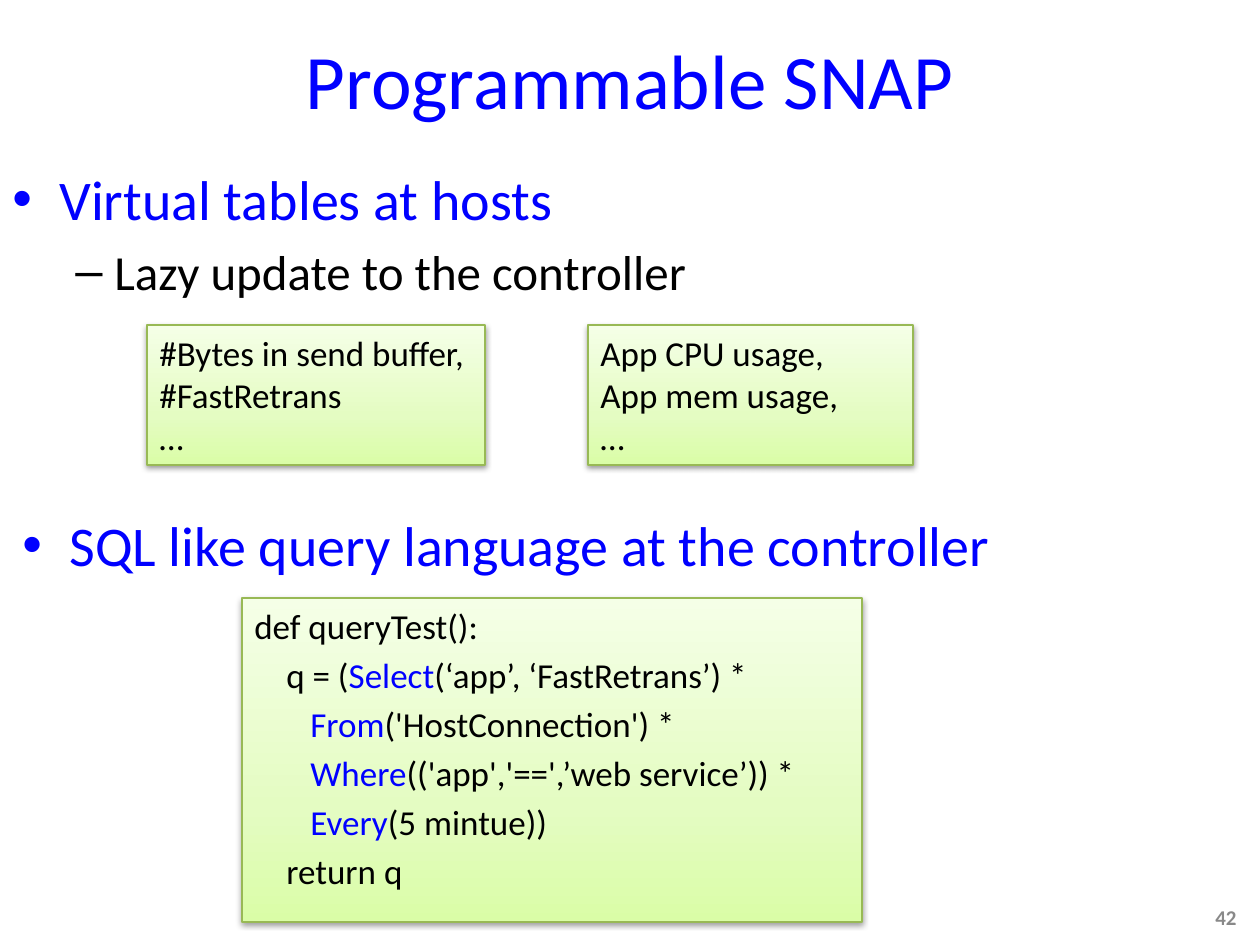
from copy import deepcopy

from lxml import etree
from pptx import Presentation
from pptx.dml.color import RGBColor
from pptx.enum.shapes import MSO_SHAPE
from pptx.enum.text import MSO_ANCHOR, MSO_AUTO_SIZE, PP_ALIGN
from pptx.oxml.ns import qn
from pptx.util import Pt

RECTANGLE = MSO_SHAPE.RECTANGLE
TOP, MIDDLE = MSO_ANCHOR.TOP, MSO_ANCHOR.MIDDLE
LEFT, CENTER, RIGHT = PP_ALIGN.LEFT, PP_ALIGN.CENTER, PP_ALIGN.RIGHT
GROW = MSO_AUTO_SIZE.SHAPE_TO_FIT_TEXT
FIXED = MSO_AUTO_SIZE.NONE

PX = 914400 // 126
BLUE, BLACK, GRAY = "0000FF", "000000", "898989"
GREEN_STOPS = [(0, "DAFDA7"), (0.35, "E4FCC2"), (1, "F5FFE7")]
GREEN_EDGE = "98B955"
CODE_INDENT, CLAUSE_INDENT = 32, 56

TABLES = [
    (147, 338, ["#Bytes in send buffer,", "#FastRetrans", "…"]),
    (588, 325, ["App CPU usage,", "App mem usage,", "…"]),
]
QUERY = [
    (0, [("def queryTest():", BLACK)]),
    (CODE_INDENT, [("q = (", BLACK), ("Select", BLUE), ("(‘app’, ‘FastRetrans’) *", BLACK)]),
    (CLAUSE_INDENT, [("From", BLUE), ("('HostConnection') *", BLACK)]),
    (CLAUSE_INDENT, [("Where", BLUE), ("(('app','==',’web service’)) *", BLACK)]),
    (CLAUSE_INDENT, [("Every", BLUE), ("(5 mintue))", BLACK)]),
    (CODE_INDENT, [("return q", BLACK)]),
]


def rgb(color):
    return RGBColor.from_string(color)


def set_all(target, values):
    for name, value in values.items():
        setattr(target, name, value)


def line(runs, size, margin=0, hanging=0, bullet=None, level=0, spaced=False, align=LEFT, bold=False):
    return dict(runs=runs, size=size, margin=margin, hanging=hanging, bullet=bullet,
                level=level, spaced=spaced, align=align, bold=bold)


def write_line(paragraph, content):
    size = content["size"]
    set_all(paragraph, {
        "alignment": content["align"],
        "level": content["level"],
        "space_before": Pt(size * 0.2 if content["spaced"] else 0),
    })
    properties = paragraph._p.get_or_add_pPr()
    properties.set("marL", str(content["margin"] * PX))
    properties.set("indent", str(-content["hanging"] * PX))
    if content["bullet"]:
        etree.SubElement(properties, qn("a:buFont"), typeface="Arial")
        etree.SubElement(properties, qn("a:buChar"), char=content["bullet"])
    for words, color in content["runs"]:
        run = paragraph.add_run()
        run.text = words
        set_all(run.font, {"name": "Calibri", "size": Pt(size), "bold": content["bold"]})
        run.font.color.rgb = rgb(color)


def write_lines(frame, lines, anchor=TOP, wrap=True, auto_size=FIXED):
    set_all(frame, {"word_wrap": wrap, "auto_size": auto_size, "vertical_anchor": anchor})
    for number, content in enumerate(lines):
        paragraph = frame.add_paragraph() if number else frame.paragraphs[0]
        write_line(paragraph, content)


def add_text(slide, box, lines, anchor=TOP):
    area = slide.shapes.add_textbox(*(length * PX for length in box))
    write_lines(area.text_frame, lines, anchor)


def fill_green(panel):
    panel.fill.gradient()
    panel.fill.gradient_angle = 90
    stop_list = panel.element.spPr.find(".//" + qn("a:gsLst"))
    stop_list.insert(1, deepcopy(stop_list[0]))
    for stop, (position, color) in zip(panel.fill.gradient_stops, GREEN_STOPS):
        stop.position = position
        stop.color.rgb = rgb(color)


def add_shadow(panel):
    panel.shadow.inherit = False
    effects = panel.element.spPr.find(qn("a:effectLst"))
    shadow = etree.SubElement(effects, qn("a:outerShdw"), blurRad="40000", dist="20000",
                              dir="5400000", rotWithShape="0")
    tint = etree.SubElement(shadow, qn("a:srgbClr"), val=BLACK)
    etree.SubElement(tint, qn("a:alpha"), val="38000")


def add_panel(slide, box, lines, wrap=True, auto_size=FIXED):
    panel = slide.shapes.add_shape(RECTANGLE, *(length * PX for length in box))
    fill_green(panel)
    panel.line.color.rgb = rgb(GREEN_EDGE)
    panel.line.width = Pt(0.75)
    add_shadow(panel)
    write_lines(panel.text_frame, lines, TOP, wrap, auto_size)


def heading(words):
    return line([(words, BLUE)], 32, 47, 47, "•", spaced=True)


def main():
    deck = Presentation()
    set_all(deck, {"slide_width": 1260 * PX, "slide_height": 945 * PX})
    slide = deck.slides.add_slide(deck.slide_layouts[6])

    add_text(slide, (0, 0, 1260, 158), [line([("Programmable SNAP", BLUE)], 44, align=CENTER)], MIDDLE)
    add_text(slide, (0, 158, 1250, 336), [
        heading("Virtual tables at hosts"),
        line([("Lazy update to the controller", BLACK)], 28, 102, 39, "–", level=1, spaced=True),
    ])
    add_text(slide, (955, 892, 294, 50), [line([("42", GRAY)], 12, align=RIGHT, bold=True)], MIDDLE)
    for left, width, fields in TABLES:
        add_panel(slide, (left, 325, width, 140),
                  [line([(field, BLACK)], 20) for field in fields], False, GROW)
    add_text(slide, (10, 504, 1250, 336), [heading("SQL like query language at the controller")])
    add_panel(slide, (242, 598, 620, 324),
              [line(runs, 20, margin, spaced=True) for margin, runs in QUERY])

    deck.save("out.pptx")


if __name__ == "__main__":
    main()
